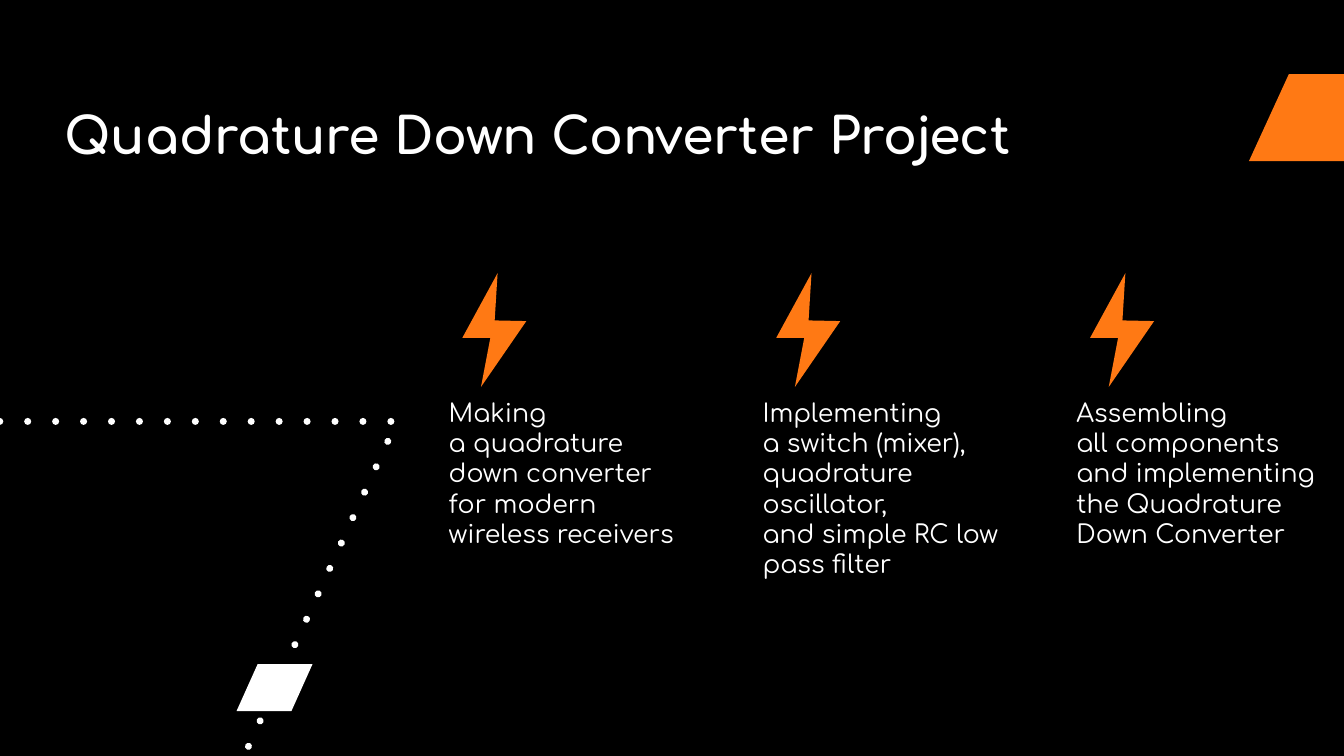
from dataclasses import dataclass

from lxml.etree import SubElement
from pptx import Presentation
from pptx.dml.color import RGBColor
from pptx.enum.text import MSO_ANCHOR, MSO_AUTO_SIZE, PP_ALIGN
from pptx.oxml.ns import qn
from pptx.shapes.autoshape import Shape
from pptx.slide import Slide
from pptx.text.text import TextFrame, _Run as Run
from pptx.util import Pt

COLOURS = {"background": "000000", "accent": "FF7914", "light": "FFFFFF"}
FONT = "Comfortaa"

COLUMN_LEFT, COLUMN_STEP, COLUMN_WIDTH = 320.5, 224.2, 178
TEXT_TOP, LINE_HEIGHT = 283.7, 21.75
BOLT_INDENT, BOLT_TOP = 9.8, 195.1
BOLT_OUTLINE = [(25.2, 0), (0, 46.2), (20, 46.2), (13.3, 81.3), (45.7, 34.3), (23.1, 33.8)]


@dataclass
class Parallelogram:
    left: float
    top: float
    width: float
    height: float
    slant: float

    def corners(self) -> list[tuple[float, float]]:
        right, bottom = self.left + self.width, self.top + self.height
        return [
            (self.left, bottom),
            (self.left + self.slant, self.top),
            (right, self.top),
            (right - self.slant, bottom),
        ]


@dataclass
class Step:
    lines: list[str]


DOTTED_FRAME = Parallelogram(-162.7, 301, 446.2, 275, 125.6)
CORNER_MARK = Parallelogram(892.1, 53, 101.5, 62.1, 28.5)
FRAME_MARK = Parallelogram(169, 474.3, 54.3, 33.6, 15.1)

STEPS = [
    Step(["Making", "a quadrature", "down converter", "for modern", "wireless receivers"]),
    Step(["Implementing", "a switch (mixer),", "quadrature", "oscillator,",
          "and simple RC low", "pass filter"]),
    Step(["Assembling", "all components", "and implementing", "the Quadrature",
          "Down Converter"]),
]


def colour(name: str) -> RGBColor:
    return RGBColor.from_string(COLOURS[name])


def add_outline(page: Slide, points: list[tuple[float, float]]) -> Shape:
    corners = [(Pt(x), Pt(y)) for x, y in points]
    builder = page.shapes.build_freeform(*corners[0], scale=1.0)
    builder.add_line_segments(corners[1:], close=True)
    shape = builder.convert_to_shape()
    shape.shadow.inherit = False
    return shape


def add_filled(page: Slide, points: list[tuple[float, float]], fill: str) -> None:
    shape = add_outline(page, points)
    shape.fill.solid()
    shape.fill.fore_color.rgb = colour(fill)
    shape.line.fill.background()


def add_dotted(page: Slide, points: list[tuple[float, float]]) -> None:
    shape = add_outline(page, points)
    shape.fill.background()
    shape.line.color.rgb = colour("light")
    shape.line.width = Pt(5)
    line = shape.line._get_or_add_ln()
    line.set("cap", "rnd")
    SubElement(line, qn("a:prstDash")).set("val", "dot")


def format_frame(frame: TextFrame) -> None:
    frame.margin_left = frame.margin_top = frame.margin_right = frame.margin_bottom = 0
    frame.word_wrap = True
    frame.auto_size = MSO_AUTO_SIZE.SHAPE_TO_FIT_TEXT
    frame.paragraphs[0].alignment = PP_ALIGN.LEFT


def format_span(span: Run, size: float, bold: bool = False) -> None:
    span.font.name = FONT
    span.font.size = Pt(size)
    span.font.bold = bold
    span.font.color.rgb = colour("light")


def add_title(page: Slide, text: str) -> None:
    title = page.shapes.title
    title.left, title.top, title.width, title.height = Pt(46), Pt(77), Pt(682), Pt(41.5)
    format_frame(title.text_frame)
    title.text_frame.vertical_anchor = MSO_ANCHOR.MIDDLE
    para = title.text_frame.paragraphs[0]
    para.line_spacing = 0.95
    span = para.add_run()
    span.text = text
    format_span(span, 36, bold=True)


def add_step(page: Slide, step: Step, left: float) -> None:
    box = page.shapes.add_textbox(
        Pt(left), Pt(TEXT_TOP), Pt(COLUMN_WIDTH), Pt(LINE_HEIGHT * len(step.lines))
    )
    format_frame(box.text_frame)
    para = box.text_frame.paragraphs[0]
    for number, line in enumerate(step.lines):
        if number:
            para.add_line_break()
        span = para.add_run()
        span.text = line
        format_span(span, 18)
    bolt = [(left + BOLT_INDENT + x, BOLT_TOP + y) for x, y in BOLT_OUTLINE]
    add_filled(page, bolt, "accent")


def main() -> None:
    deck = Presentation()
    deck.slide_width, deck.slide_height = Pt(960), Pt(540)
    page = deck.slides.add_slide(deck.slide_layouts[5])
    page.background.fill.solid()
    page.background.fill.fore_color.rgb = colour("background")

    add_dotted(page, DOTTED_FRAME.corners())
    add_filled(page, CORNER_MARK.corners(), "accent")
    add_filled(page, FRAME_MARK.corners(), "light")
    for number, step in enumerate(STEPS):
        add_step(page, step, COLUMN_LEFT + number * COLUMN_STEP)
    add_title(page, "Quadrature Down Converter Project")
    deck.save("out.pptx")


if __name__ == "__main__":
    main()
